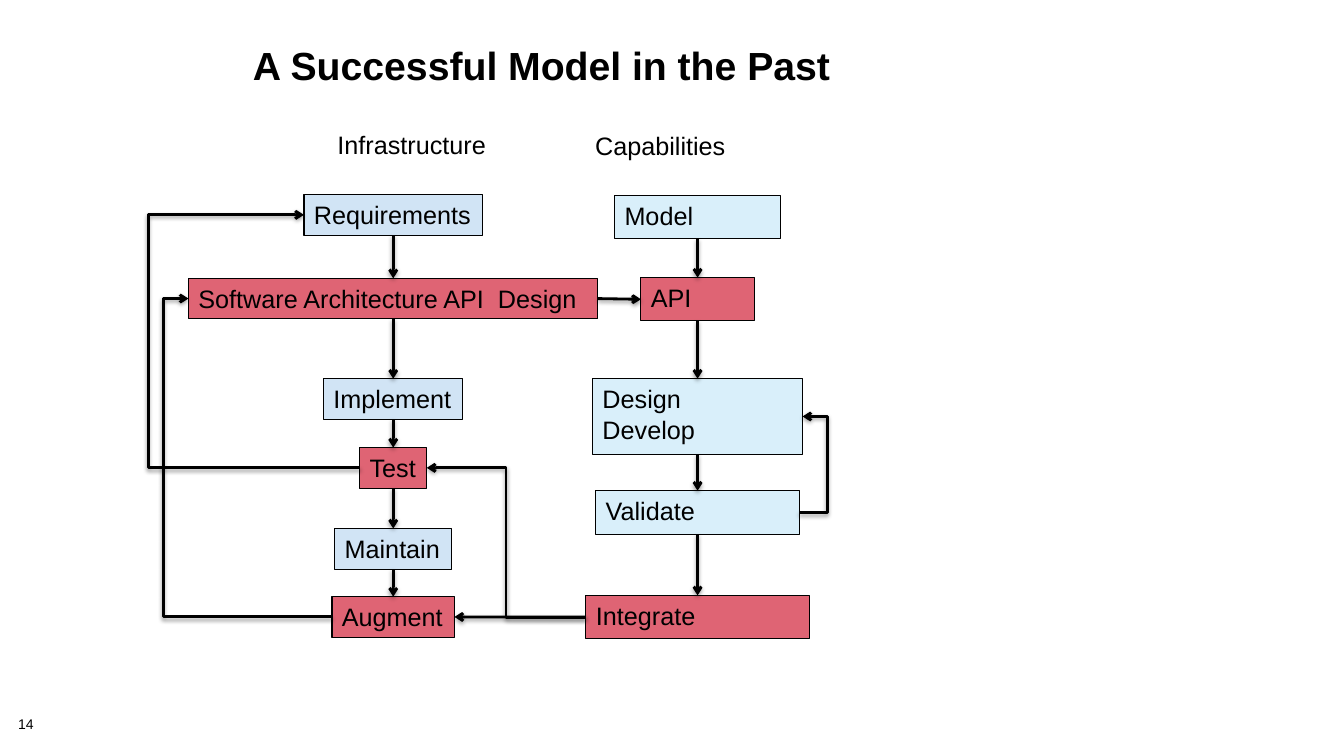
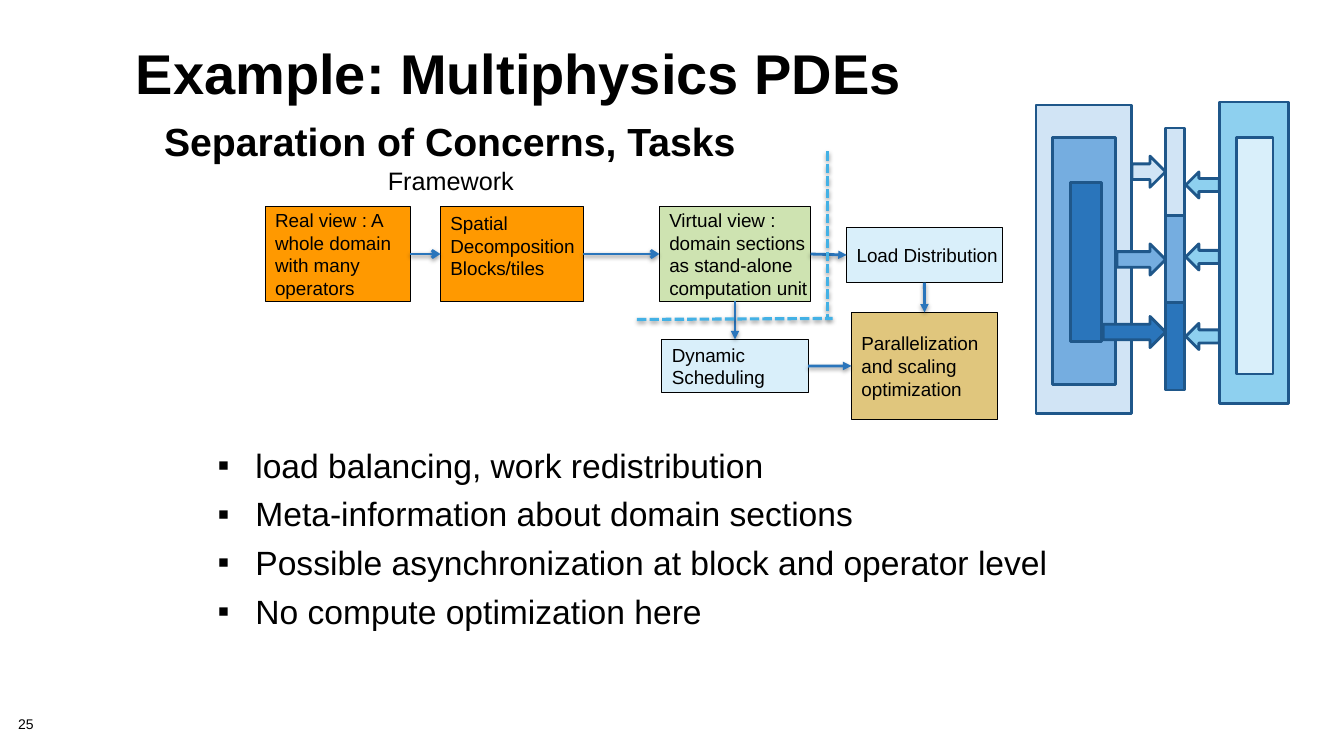
"""Build two slides on a layered software design model."""
from dataclasses import dataclass
from typing import Any, Optional

import lxml.etree
import pptx
import pptx.dml.color
import pptx.enum.dml
import pptx.enum.shapes
import pptx.enum.text
import pptx.oxml.ns
import pptx.util

Pt = pptx.util.Pt
qn = pptx.oxml.ns.qn
Shape = pptx.enum.shapes.MSO_SHAPE
Connector = pptx.enum.shapes.MSO_CONNECTOR
Anchor = pptx.enum.text.MSO_ANCHOR
TOP, LEFT, BOTTOM, RIGHT = range(4)


@dataclass(frozen=True)
class Theme:
    font: str = "Arial"
    black: str = "000000"
    pale_blue: str = "D1E4F5"
    ice: str = "D9EFFA"
    sky: str = "8ED0EF"
    mid_blue: str = "75ADE0"
    blue: str = "2A75BB"
    navy: str = "1F578A"
    cyan: str = "43B1E5"
    red: str = "DF6474"
    orange: str = "FF9900"
    green: str = "CEE3B1"
    sand: str = "E0C67D"
    heading_size: float = 40
    title_size: float = 28
    bullet_size: float = 24
    label_size: float = 18
    small_size: float = 13.5
    number_size: float = 10


THEME = Theme()


@dataclass(frozen=True)
class Area:
    left: float
    top: float
    width: float
    height: float

    def lengths(self) -> list[int]:
        return [Pt(value) for value in (self.left, self.top, self.width, self.height)]


@dataclass(frozen=True)
class Box:
    text: str
    area: Area
    fill: str
    size: float = THEME.label_size
    anchor: Any = Anchor.TOP

    @property
    def name(self) -> str:
        return self.text.split("\n")[0]


@dataclass(frozen=True)
class Block:
    area: Area
    fill: str
    preset: Any = Shape.RECTANGLE


@dataclass(frozen=True)
class Link:
    begin: str
    begin_side: int
    end: str
    end_side: int
    via: Optional[float] = None
    head: str = "arrow"


def rgb(value: str) -> Any:
    return pptx.dml.color.RGBColor.from_string(value)


def write(frame: Any, text: str, size: float, bold: bool = False,
          line_spacing: Optional[float] = None) -> None:
    for index, line in enumerate(text.split("\n")):
        paragraph = frame.add_paragraph() if index else frame.paragraphs[0]
        paragraph.alignment = pptx.enum.text.PP_ALIGN.LEFT
        if line_spacing:
            paragraph.line_spacing = line_spacing
        run = paragraph.add_run()
        run.text = line
        run.font.name = THEME.font
        run.font.size = Pt(size)
        run.font.bold = bold
        run.font.color.rgb = rgb(THEME.black)


def add_text(slide: Any, area: Area, text: str, size: float, bold: bool = False,
             line_spacing: Optional[float] = None, wrap: bool = True) -> Any:
    frame = slide.shapes.add_textbox(*area.lengths()).text_frame
    frame.word_wrap = wrap
    write(frame, text, size, bold, line_spacing)
    return frame


def add_block(shapes: Any, block: Block, line: str, width: float) -> Any:
    shape = shapes.add_shape(block.preset, *block.area.lengths())
    shape.shadow.inherit = False
    shape.fill.solid()
    shape.fill.fore_color.rgb = rgb(block.fill)
    shape.line.color.rgb = rgb(line)
    shape.line.width = Pt(width)
    return shape


def add_boxes(slide: Any, boxes: list[Box]) -> dict[str, Any]:
    placed = {}
    for box in boxes:
        shape = add_block(slide.shapes, Block(box.area, box.fill), THEME.black, 0.75)
        shape.text_frame.word_wrap = False
        shape.text_frame.vertical_anchor = box.anchor
        write(shape.text_frame, box.text, box.size)
        placed[box.name] = shape
    return placed


def style_line(connector: Any, color: str, width: float, head: str = "",
               dashed: bool = False) -> None:
    connector.line.color.rgb = rgb(color)
    connector.line.width = Pt(width)
    if dashed:
        connector.line.dash_style = pptx.enum.dml.MSO_LINE.SQUARE_DOT
    properties = connector._element.spPr
    if head:
        lxml.etree.SubElement(properties.find(qn("a:ln")), qn("a:tailEnd"), type=head)
    effects = lxml.etree.SubElement(properties, qn("a:effectLst"))
    shadow = lxml.etree.SubElement(
        effects, qn("a:outerShdw"), blurRad=str(Pt(3.1)), dist=str(Pt(1.6)),
        dir="5400000", rotWithShape="0")
    shade = lxml.etree.SubElement(shadow, qn("a:srgbClr"), val=THEME.black)
    lxml.etree.SubElement(shade, qn("a:alpha"), val="38000")


def add_links(slide: Any, placed: dict[str, Any], links: list[Link], color: str) -> None:
    for link in links:
        kind = Connector.STRAIGHT if link.via is None else Connector.ELBOW
        connector = slide.shapes.add_connector(kind, 0, 0, 0, 0)
        connector.begin_connect(placed[link.begin], link.begin_side)
        connector.end_connect(placed[link.end], link.end_side)
        if link.via is not None:
            reach = connector.end_x - connector.begin_x
            share = round((Pt(link.via) - connector.begin_x) / reach * 100000)
            geometry = connector._element.spPr.find(qn("a:prstGeom"))
            guides = geometry.find(qn("a:avLst"))
            lxml.etree.SubElement(guides, qn("a:gd"), name="adj1", fmla=f"val {share}")
        style_line(connector, color, 2, link.head)


def add_slide(presentation: Any, title: str, area: Area, number: str) -> Any:
    slide = presentation.slides.add_slide(presentation.slide_layouts[5])
    placeholder = slide.shapes.title
    placeholder.left, placeholder.top, placeholder.width, placeholder.height = area.lengths()
    frame = placeholder.text_frame
    frame.auto_size = pptx.enum.text.MSO_AUTO_SIZE.NONE
    frame.vertical_anchor = Anchor.TOP
    write(frame, title, THEME.title_size, True, 0.85)
    footer = add_text(slide, Area(13, 512.6, 40, 11.5), number, THEME.number_size,
                      line_spacing=0.9)
    footer.margin_left = footer.margin_top = footer.margin_right = footer.margin_bottom = 0
    return slide


def add_bullets(slide: Any, area: Area, text: str) -> None:
    frame = add_text(slide, area, text, THEME.bullet_size)
    for index, paragraph in enumerate(frame.paragraphs):
        properties = paragraph._p.get_or_add_pPr()
        properties.set("marL", str(Pt(27)))
        properties.set("indent", str(-Pt(27)))
        lxml.etree.SubElement(properties, qn("a:buFont"), typeface=THEME.font)
        lxml.etree.SubElement(properties, qn("a:buChar"), char="▪")
        if index:
            paragraph.space_before = Pt(6)


def centred(text: str, center: float, top: float, width: float, height: float,
            fill: str) -> Box:
    return Box(text, Area(center - width / 2, top, width, height), fill)


def build_model_slide(presentation: Any) -> None:
    slide = add_slide(presentation, "A Successful Model in the Past",
                      Area(173.5, 31, 507, 40.3), "14")
    add_text(slide, Area(234, 88.5, 122, 29), "Infrastructure", THEME.label_size, wrap=False)
    add_text(slide, Area(418, 89.5, 109, 29), "Capabilities", THEME.label_size, wrap=False)
    architecture = "Software Architecture API  Design"
    infrastructure = [
        ("Requirements", 139, 127.5, THEME.pale_blue),
        (architecture, 198.8, 292.5, THEME.red),
        ("Implement", 270.5, 99.5, THEME.pale_blue),
        ("Test", 319.7, 48, THEME.red),
        ("Maintain", 377.5, 83.5, THEME.pale_blue),
        ("Augment", 426.2, 87.5, THEME.red),
    ]
    capabilities = [
        ("Model", 139.5, 118.5, 31, THEME.ice),
        ("API", 198.3, 81, 31, THEME.red),
        ("Design\nDevelop", 270.5, 150, 54, THEME.ice),
        ("Validate", 350.5, 145.5, 31, THEME.ice),
        ("Integrate", 425.3, 159.5, 31, THEME.red),
    ]
    columns = [
        [centred(text, 280.9, top, width, 29, fill)
         for text, top, width, fill in infrastructure],
        [centred(text, 498.3, top, width, height, fill)
         for text, top, width, height, fill in capabilities],
    ]
    placed = add_boxes(slide, columns[0] + columns[1])
    links = [Link(upper.name, BOTTOM, lower.name, TOP)
             for column in columns for upper, lower in zip(column, column[1:])]
    links += [
        Link("Augment", LEFT, architecture, LEFT, 116.6),
        Link("Validate", RIGHT, "Design", RIGHT, 591),
        Link("Integrate", LEFT, "Augment", RIGHT),
        Link(architecture, RIGHT, "API", LEFT),
        Link("Test", LEFT, "Requirements", LEFT, 106),
        Link("Integrate", LEFT, "Test", RIGHT, 361.5),
    ]
    add_links(slide, placed, links, THEME.black)


def add_layer_diagram(slide: Any) -> None:
    shades = (THEME.pale_blue, THEME.mid_blue, THEME.blue)
    nested = [Area(740, 75, 68, 220.3), Area(751.7, 98, 45.4, 176.4),
              Area(764.6, 130.3, 22.5, 113.8)]
    blocks = [Block(area, shade) for area, shade in zip(nested, shades)]
    blocks += [Block(Area(832.4, 91.4 + 62.4 * index, 14, 62.4), shade)
               for index, shade in enumerate(shades)]
    starts = [(808.5, 111.5), (797.8, 174.2), (788, 226)]
    blocks += [Block(Area(left, top, 832.6 - left, 22.3), shade, Shape.RIGHT_ARROW)
               for (left, top), shade in zip(starts, shades)]
    blocks += [Block(Area(871, 72.8, 49.2, 215.3), THEME.sky),
               Block(Area(883.4, 98, 26, 169.2), THEME.ice)]
    blocks += [Block(Area(847, top, 24, 18.7), THEME.sky, Shape.LEFT_ARROW)
               for top in (122.8, 174.2, 231)]
    group = slide.shapes.add_group_shape()
    for block in blocks:
        add_block(group.shapes, block, THEME.navy, 2)


def build_example_slide(presentation: Any) -> None:
    slide = add_slide(presentation, "Separation of Concerns, Tasks",
                      Area(110, 85, 684, 68.4), "25")
    add_text(slide, Area(90, 31, 732, 54.7), "Example: Multiphysics PDEs",
             THEME.heading_size, True, 0.85)
    add_text(slide, Area(270, 114.5, 105, 29), "Framework", THEME.label_size, wrap=False)
    small, middle = THEME.small_size, Anchor.MIDDLE
    placed = add_boxes(slide, [
        Box("Real view : A\nwhole domain\nwith many\noperators",
            Area(189.4, 147.6, 103.7, 67.7), THEME.orange, small, middle),
        Box("Spatial\nDecomposition\nBlocks/tiles",
            Area(314.6, 147.6, 102.2, 67.7), THEME.orange, small),
        Box("Virtual view :\ndomain sections\nas stand-alone\ncomputation unit",
            Area(471, 147.6, 108, 67.7), THEME.green, small, middle),
        Box("Load Distribution", Area(604.8, 162.5, 111, 39.3), THEME.ice, small, middle),
        Box("Parallelization\nand scaling\noptimization",
            Area(608.2, 223.2, 104.4, 76.4), THEME.sand, small, middle),
        Box("Dynamic\nScheduling", Area(472.8, 242.4, 104.4, 38.2), THEME.ice, small, middle),
    ])
    add_links(slide, placed, [
        Link("Real view : A", RIGHT, "Spatial", LEFT),
        Link("Spatial", RIGHT, "Virtual view :", LEFT),
        Link("Virtual view :", BOTTOM, "Dynamic", TOP, head="triangle"),
        Link("Virtual view :", RIGHT, "Load Distribution", LEFT, head="triangle"),
        Link("Load Distribution", BOTTOM, "Parallelization", TOP, head="triangle"),
        Link("Dynamic", RIGHT, "Parallelization", LEFT, head="triangle"),
    ], THEME.blue)
    for ends in ((591, 108, 591, 227.5), (455, 228.2, 594.7, 227.5)):
        border = slide.shapes.add_connector(Connector.STRAIGHT, *map(Pt, ends))
        style_line(border, THEME.cyan, 2.25, dashed=True)
    add_bullets(slide, Area(148.3, 314, 612.7, 193),
                "load balancing, work redistribution\n"
                "Meta-information about domain sections\n"
                "Possible asynchronization at block and operator level\n"
                "No compute optimization here")
    add_layer_diagram(slide)


def main() -> None:
    presentation = pptx.Presentation()
    presentation.slide_width, presentation.slide_height = Pt(960), Pt(540)
    build_model_slide(presentation)
    build_example_slide(presentation)
    presentation.save("out.pptx")


if __name__ == "__main__":
    main()
